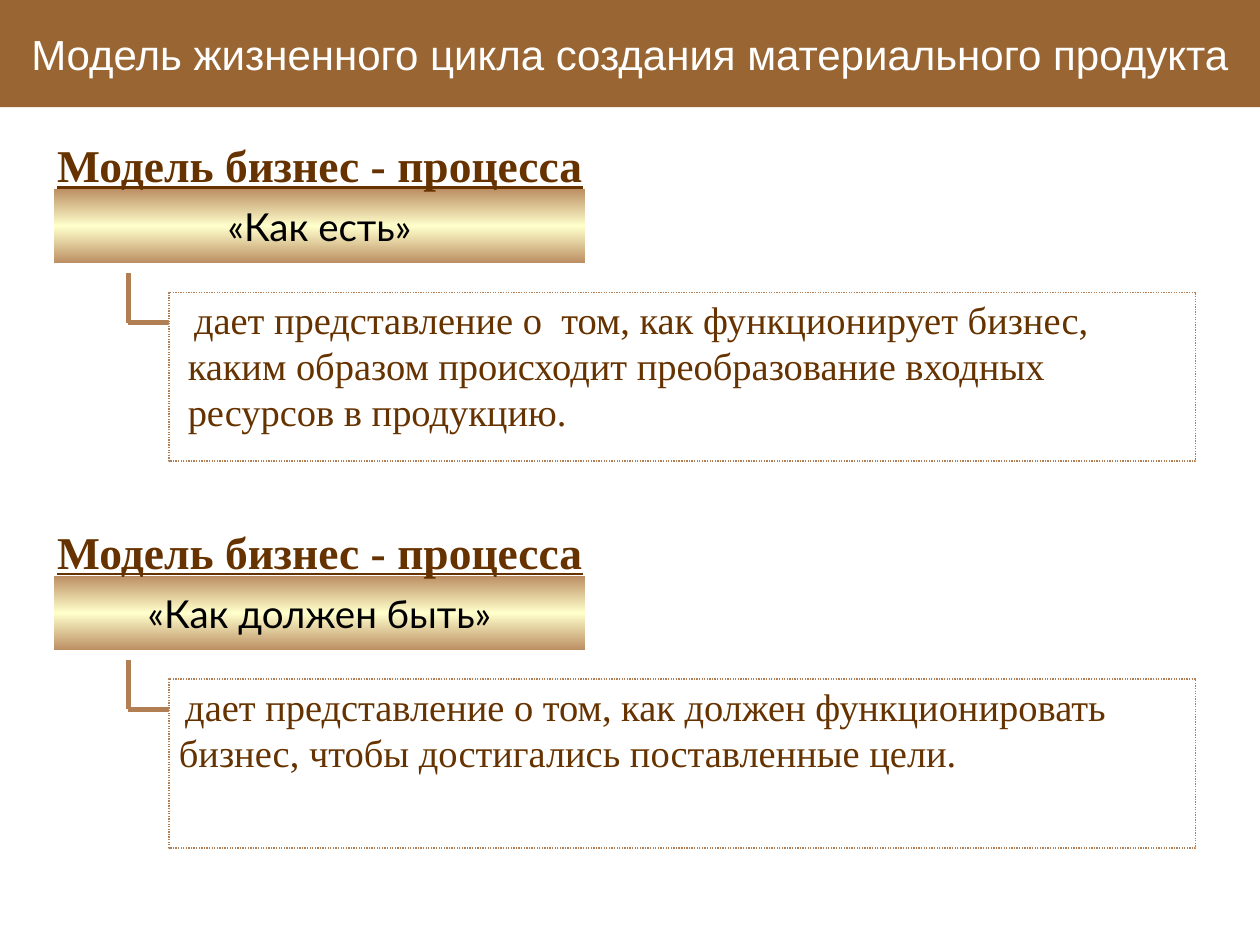
from copy import deepcopy
from dataclasses import dataclass

from pptx import Presentation
from pptx.dml.color import RGBColor
from pptx.enum.dml import MSO_LINE
from pptx.enum.shapes import MSO_CONNECTOR, MSO_SHAPE
from pptx.enum.text import MSO_ANCHOR, MSO_AUTO_SIZE, PP_ALIGN
from pptx.oxml.ns import qn
from pptx.util import Inches, Pt


@dataclass(frozen=True)
class Theme:
    banner: str = "996633"
    accent: str = "B27F54"
    glow: str = "FFFFCC"
    body: str = "663300"
    white: str = "FFFFFF"
    black: str = "000000"
    title_font: str = "Arial"
    label_font: str = "Lato"
    serif: str = "Times New Roman"
    title_size: int = 24
    heading_size: int = 26
    body_size: int = 22


THEME = Theme()
WIDTH, HEIGHT = 10, 7.5
FIRST_TOP, PITCH = 1.05, 3.07
HEADING = "Модель бизнес - процесса"
# Label, lines of the description, left margin, extra indent of the first line
MODELS = [
    ("«Как есть»",
     ["дает представление о  том, как функционирует бизнес,",
      "каким образом происходит преобразование входных",
      "ресурсов в продукцию."], 0.15, 0.05),
    ("«Как должен быть»",
     ["дает представление о том, как должен функционировать",
      "бизнес, чтобы достигались поставленные цели."], 0.08, 0.05),
]


def color(value):
    return RGBColor.from_string(value)


def set_frame(shape, margins, anchor=MSO_ANCHOR.MIDDLE, wrap=False):
    """Margins are left, top, right, bottom in inches."""
    frame = shape.text_frame
    frame.auto_size = MSO_AUTO_SIZE.NONE
    frame.word_wrap = wrap
    frame.vertical_anchor = anchor
    (frame.margin_left, frame.margin_top,
     frame.margin_right, frame.margin_bottom) = map(Inches, margins)
    return frame


def write(paragraph, text, font, size, ink, align=PP_ALIGN.CENTER, strong=False):
    """Add one run; strong means bold and underlined."""
    paragraph.alignment = align
    run = paragraph.add_run()
    run.text = text
    run.font.name = font
    run.font.size = Pt(size)
    run.font.color.rgb = color(ink)
    run.font.bold = run.font.underline = strong


def add_box(slide, left, top, width, height):
    box = slide.shapes.add_shape(
        MSO_SHAPE.RECTANGLE, *map(Inches, (left, top, width, height)))
    box.shadow.inherit = False
    return box


def set_banner(slide, text):
    banner = slide.shapes.title
    banner.left = banner.top = 0
    banner.width, banner.height = Inches(WIDTH), Inches(0.85)
    banner.fill.solid()
    banner.fill.fore_color.rgb = color(THEME.banner)
    frame = set_frame(banner, (0.1, 0.06, 0.1, 0.05))
    write(frame.paragraphs[0], text, THEME.title_font, THEME.title_size, THEME.white)


def add_heading(slide, top):
    heading = slide.shapes.add_textbox(0, Inches(top), Inches(5.08), Inches(0.53))
    paragraph = set_frame(heading, (0.1, 0.06, 0.1, 0.05)).paragraphs[0]
    paragraph.line_spacing = 0.98
    write(paragraph, HEADING, THEME.serif, THEME.heading_size, THEME.body, strong=True)


def fill_with_glow(shape):
    """Vertical gradient, light in the middle."""
    shape.fill.gradient()
    shape.fill.gradient_angle = 90
    stop_list = shape._element.spPr.find(qn("a:gradFill")).find(qn("a:gsLst"))
    stop_list.insert(1, deepcopy(stop_list[0]))
    shades = (THEME.accent, THEME.glow, THEME.accent)
    for stop, position, shade in zip(shape.fill.gradient_stops, (0, 0.5, 1), shades):
        stop.position = position
        stop.color.rgb = color(shade)


def add_label(slide, top, text):
    label = add_box(slide, 0.39, top, 4.29, 0.67)
    fill_with_glow(label)
    label.line.color.rgb = color(THEME.white)
    label.line.width = Pt(5.67)
    frame = set_frame(label, (0.14, 0.09, 0.14, 0.09))
    write(frame.paragraphs[0], text, THEME.label_font, THEME.body_size, THEME.black)


def add_line(slide, start, end):
    line = slide.shapes.add_connector(
        MSO_CONNECTOR.STRAIGHT, *map(Inches, (*start, *end)))
    line.line.color.rgb = color(THEME.accent)
    line.line.width = Pt(2.83)
    properties = line._element.spPr
    properties.append(properties.makeelement(qn("a:effectLst"), {}))


def add_elbow(slide, top):
    corner = (1.02, top + 0.4)
    add_line(slide, (1.02, top), corner)
    add_line(slide, corner, (1.42, top + 0.4))


def add_description(slide, top, lines, margin, first_indent):
    description = add_box(slide, 1.34, top, 8.15, 1.34)
    description.fill.solid()
    description.fill.fore_color.rgb = color(THEME.white)
    description.line.color.rgb = color(THEME.accent)
    description.line.width = Pt(0.75)
    description.line.dash_style = MSO_LINE.ROUND_DOT
    frame = set_frame(description, (0, 0.03, 0, 0), MSO_ANCHOR.TOP, wrap=True)
    for number, text in enumerate(lines):
        paragraph = frame.add_paragraph() if number else frame.paragraphs[0]
        properties = paragraph._p.get_or_add_pPr()
        properties.set("marL", str(Inches(margin)))
        properties.set("indent", str(0 if number else Inches(first_indent)))
        write(paragraph, text, THEME.serif, THEME.body_size, THEME.body, PP_ALIGN.LEFT)


def add_model(slide, top, label, lines, margin, first_indent):
    add_elbow(slide, top + 1.11)
    add_description(slide, top + 1.27, lines, margin, first_indent)
    add_label(slide, top + 0.41, label)
    add_heading(slide, top)


def main():
    deck = Presentation()
    deck.slide_width, deck.slide_height = Inches(WIDTH), Inches(HEIGHT)
    slide = deck.slides.add_slide(deck.slide_layouts[5])
    set_banner(slide, "Модель жизненного цикла создания материального продукта")
    for row, model in enumerate(MODELS):
        add_model(slide, FIRST_TOP + row * PITCH, *model)
    deck.save("out.pptx")


if __name__ == "__main__":
    main()
